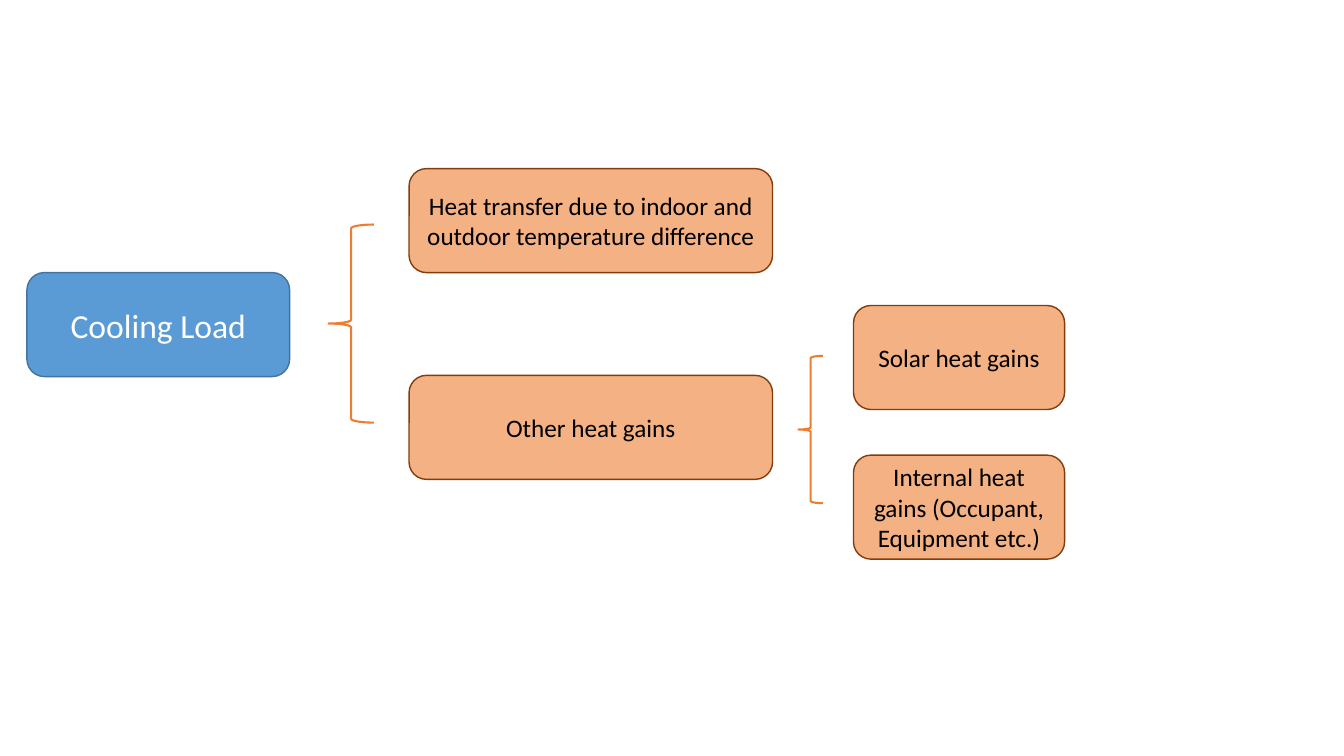
from pptx import Presentation
from pptx.dml.color import RGBColor
from pptx.enum.shapes import MSO_SHAPE
from pptx.enum.text import MSO_ANCHOR, PP_ALIGN
from pptx.util import Cm, Pt

ROUNDED = MSO_SHAPE.ROUNDED_RECTANGLE
LEFT_BRACE = MSO_SHAPE.LEFT_BRACE
MIDDLE = MSO_ANCHOR.MIDDLE
CENTER = PP_ALIGN.CENTER

THEME = {
    "font": "Calibri",
    "root": {"fill": "5B9BD5", "line": "43739E", "color": "FFFFFF", "size": 24},
    "branch": {"fill": "F4B183", "line": "843C0B", "color": "000000", "size": 18},
    "brace": "ED7D31",
}
BOX_HEIGHT = 2.62

presentation = Presentation()
presentation.slide_width = Cm(33.87)
presentation.slide_height = Cm(19.05)
slide = presentation.slides.add_slide(presentation.slide_layouts[6])


def add_box(text, *, left, top, width, fill, line, color, size):
    """Add a rounded box with centred text; lengths are in centimetres."""
    box = slide.shapes.add_shape(ROUNDED, Cm(left), Cm(top), Cm(width), Cm(BOX_HEIGHT))
    box.shadow.inherit = False
    box.fill.solid()
    box.fill.fore_color.rgb = RGBColor.from_string(fill)
    box.line.color.rgb = RGBColor.from_string(line)
    box.line.width = Pt(1)
    frame = box.text_frame
    frame.word_wrap = True
    frame.vertical_anchor = MIDDLE
    paragraph = frame.paragraphs[0]
    paragraph.alignment = CENTER
    run = paragraph.add_run()
    run.text = text
    run.font.name = THEME["font"]
    run.font.size = Pt(size)
    run.font.color.rgb = RGBColor.from_string(color)


# Each column of the tree: style, left, width, then (text, top) per box
columns = [
    ("root", 0.68, 6.62, [("Cooling Load", 6.87)]),
    ("branch", 10.31, 9.16, [
        ("Heat transfer due to indoor and outdoor temperature difference", 4.25),
        ("Other heat gains", 9.46),
    ]),
    ("branch", 21.51, 5.32, [
        ("Solar heat gains", 7.7),
        ("Internal heat gains (Occupant, Equipment etc.)", 11.47),
    ]),
]
for style, left, width, boxes in columns:
    for text, top in boxes:
        add_box(text, left=left, top=top, width=width, **THEME[style])

# Braces joining the columns: left, top, width, height
braces = [(8.28, 5.66, 1.14, 4.99), (20.12, 8.97, 0.62, 3.71)]
for left, top, width, height in braces:
    brace = slide.shapes.add_shape(LEFT_BRACE, Cm(left), Cm(top), Cm(width), Cm(height))
    brace.shadow.inherit = False
    brace.fill.background()
    brace.line.color.rgb = RGBColor.from_string(THEME["brace"])
    brace.line.width = Pt(1.5)

presentation.save("out.pptx")
